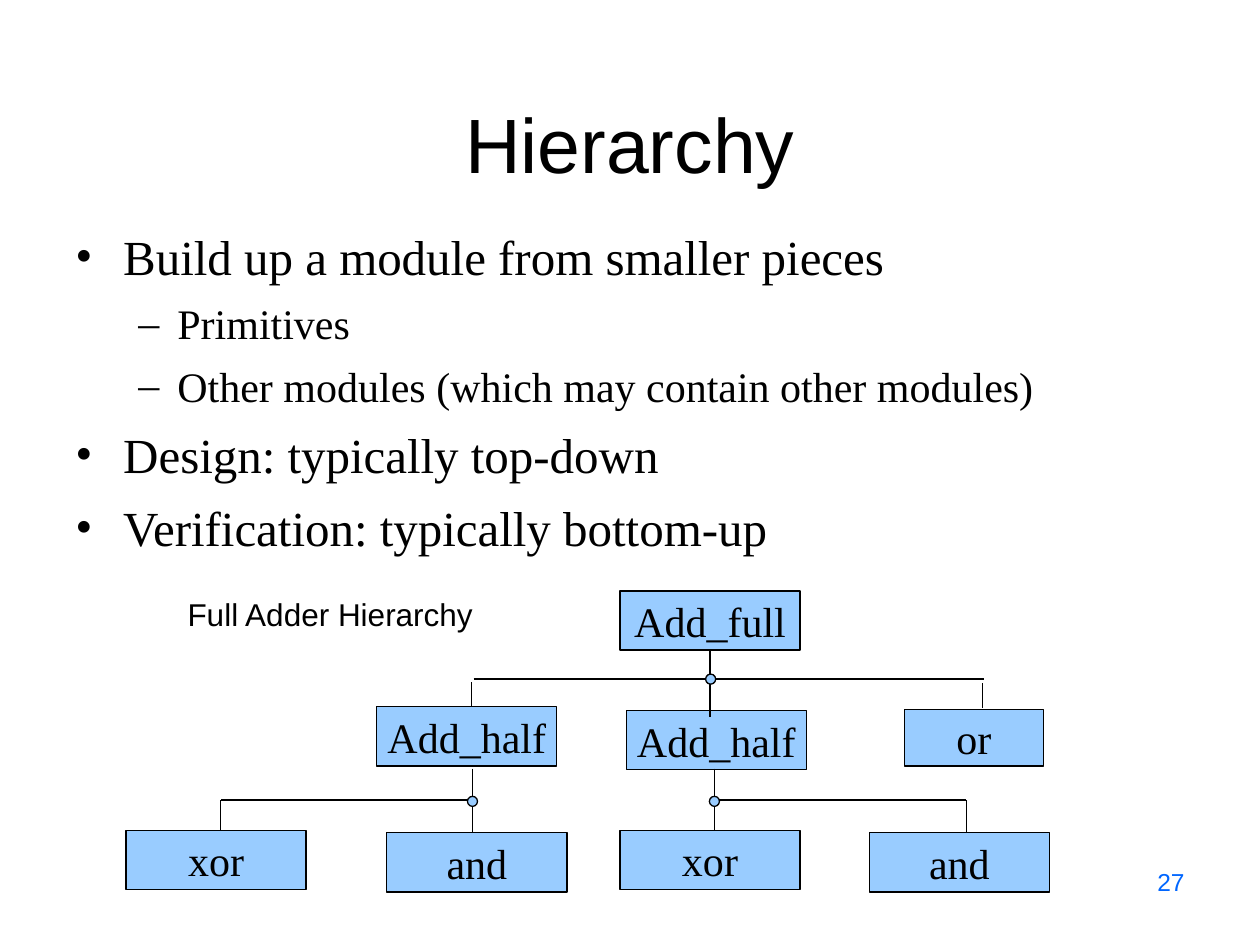
from lxml.etree import SubElement
from pptx import Presentation
from pptx.dml.color import RGBColor
from pptx.enum.shapes import MSO_CONNECTOR, MSO_SHAPE
from pptx.enum.text import MSO_ANCHOR, MSO_AUTO_SIZE, PP_ALIGN
from pptx.oxml.ns import qn
from pptx.util import Inches, Pt

WIDE, HIGH = 10, 7.5
COLS, ROWS = 100, 75
SANS, SERIF = "Arial", "Times New Roman"
BLACK, SKY, BLUE = "000000", "99CCFF", "0066FF"
BOX = (14.3, 4.7)
DOT = 0.8

POINTS = [
    (0, "Build up a module from smaller pieces"),
    (1, "Primitives"),
    (1, "Other modules (which may contain other modules)"),
    (0, "Design: typically top-down"),
    (0, "Verification: typically bottom-up"),
]
LEVELS = [("•", 28, 8, 0.38, -0.38), ("–", 24, 7, 0.81, -0.31)]
LEAVES = [
    ("xor", 10, 65.9),
    ("and", 30.7, 66.1),
    ("xor", 49.2, 65.9),
    ("and", 69, 66.1),
]


def col(n):
    """Turn grid columns into a length."""
    return Inches(n * WIDE / COLS)


def row(n):
    """Turn grid rows into a length."""
    return Inches(n * HIGH / ROWS)


def place(x, y, w, h):
    """Turn a grid frame into lengths."""
    return col(x), row(y), col(w), row(h)


def tint(code):
    """Make a colour from a hex string."""
    return RGBColor.from_string(code)


def write(para, words, size, face, code=BLACK):
    """Add one styled run to a paragraph."""
    run = para.add_run()
    run.text = words
    font = run.font
    font.size, font.name = Pt(size), face
    font.color.rgb = tint(code)


def label(slide, frame, words, size, align, code=BLACK, anchor=MSO_ANCHOR.TOP, wrap=True):
    """Add a one-line sans text box."""
    text = slide.shapes.add_textbox(*place(*frame)).text_frame
    text.word_wrap = wrap
    text.vertical_anchor = anchor
    if not wrap:
        text.auto_size = MSO_AUTO_SIZE.SHAPE_TO_FIT_TEXT
    para = text.paragraphs[0]
    para.alignment = align
    write(para, words, size, SANS, code)


def bullets(slide, frame, items):
    """Add the two-level bullet list."""
    text = slide.shapes.add_textbox(*place(*frame)).text_frame
    text.word_wrap = True
    for i, (level, words) in enumerate(items):
        mark, size, gap, left, hang = LEVELS[level]
        para = text.add_paragraph() if i else text.paragraphs[0]
        para.level = level
        if i:
            para.space_before = Pt(gap)
        props = para._p.get_or_add_pPr()
        props.set("marL", str(Inches(left)))
        props.set("indent", str(Inches(hang)))
        SubElement(props, qn("a:buFont"), typeface=SERIF)
        SubElement(props, qn("a:buChar"), char=mark)
        write(para, words, size, SERIF)


def solid(slide, kind, frame):
    """Add a sky-filled shape with a thin black edge."""
    shape = slide.shapes.add_shape(kind, *place(*frame))
    shape.shadow.inherit = False
    shape.fill.solid()
    shape.fill.fore_color.rgb = tint(SKY)
    shape.line.color.rgb = tint(BLACK)
    shape.line.width = Pt(0.75)
    return shape


def block(slide, words, x, y, size=BOX):
    """Add a named module box."""
    shape = solid(slide, MSO_SHAPE.RECTANGLE, (x, y, *size))
    text = shape.text_frame
    text.word_wrap = False
    text.vertical_anchor = MSO_ANCHOR.MIDDLE
    para = text.paragraphs[0]
    para.alignment = PP_ALIGN.CENTER
    write(para, words, 24, SERIF)
    return shape


def wire(slide, x1, y1, x2, y2):
    """Add a thin black line."""
    line = slide.shapes.add_connector(
        MSO_CONNECTOR.STRAIGHT, col(x1), row(y1), col(x2), row(y2))
    line.line.color.rgb = tint(BLACK)
    line.line.width = Pt(0.75)
    SubElement(line._element.spPr, qn("a:effectLst"))
    return line


def node(slide, x, y):
    """Add a junction dot centred on a point."""
    solid(slide, MSO_SHAPE.OVAL, (x - DOT / 2, y - DOT / 2, DOT, DOT))


def branch(slide, x, side):
    """Split a half adder's line down and out to one side."""
    wire(slide, x, 61, x, 66)
    wire(slide, side, 66.9, side, 63.5)
    wire(slide, x, 63.5, side, 63.5)
    node(slide, x, 63.6)


def tree(slide):
    """Draw the full adder hierarchy."""
    full = block(slide, "Add_full", 49.2, 46.9)
    block(slide, "Add_half", 49.7, 56.4)
    block(slide, "or", 71.8, 56.3, (11, 4.5))
    block(slide, "Add_half", 29.9, 56.1)
    trunk = wire(slide, 56.35, 51.6, 56.35, 56.9)
    trunk.begin_connect(full, 2)
    wire(slide, 37.4, 56.1, 37.4, 54.1)
    wire(slide, 78, 56.2, 78, 54.2)
    wire(slide, 37.6, 53.9, 78.1, 53.9)
    node(slide, 56.4, 53.9)
    for x, side in [(56.7, 76.7), (37.5, 17.5)]:
        branch(slide, x, side)
    for leaf in LEAVES:
        block(slide, *leaf)


def main():
    """Build and save the slide."""
    deck = Presentation()
    deck.slide_width, deck.slide_height = Inches(WIDE), Inches(HIGH)
    slide = deck.slides.add_slide(deck.slide_layouts[6])
    label(slide, (5, 3, 90, 12.5), "Hierarchy", 44, PP_ALIGN.CENTER,
          anchor=MSO_ANCHOR.BOTTOM)
    bullets(slide, (5, 17.5, 90, 54.2), POINTS)
    tree(slide)
    label(slide, (13.9, 46.7, 24.8, 4), "Full Adder Hierarchy", 18,
          PP_ALIGN.LEFT, wrap=False)
    label(slide, (71.7, 68.3, 23.3, 5.2), "27", 14, PP_ALIGN.RIGHT, BLUE)
    deck.save("out.pptx")


if __name__ == "__main__":
    main()
